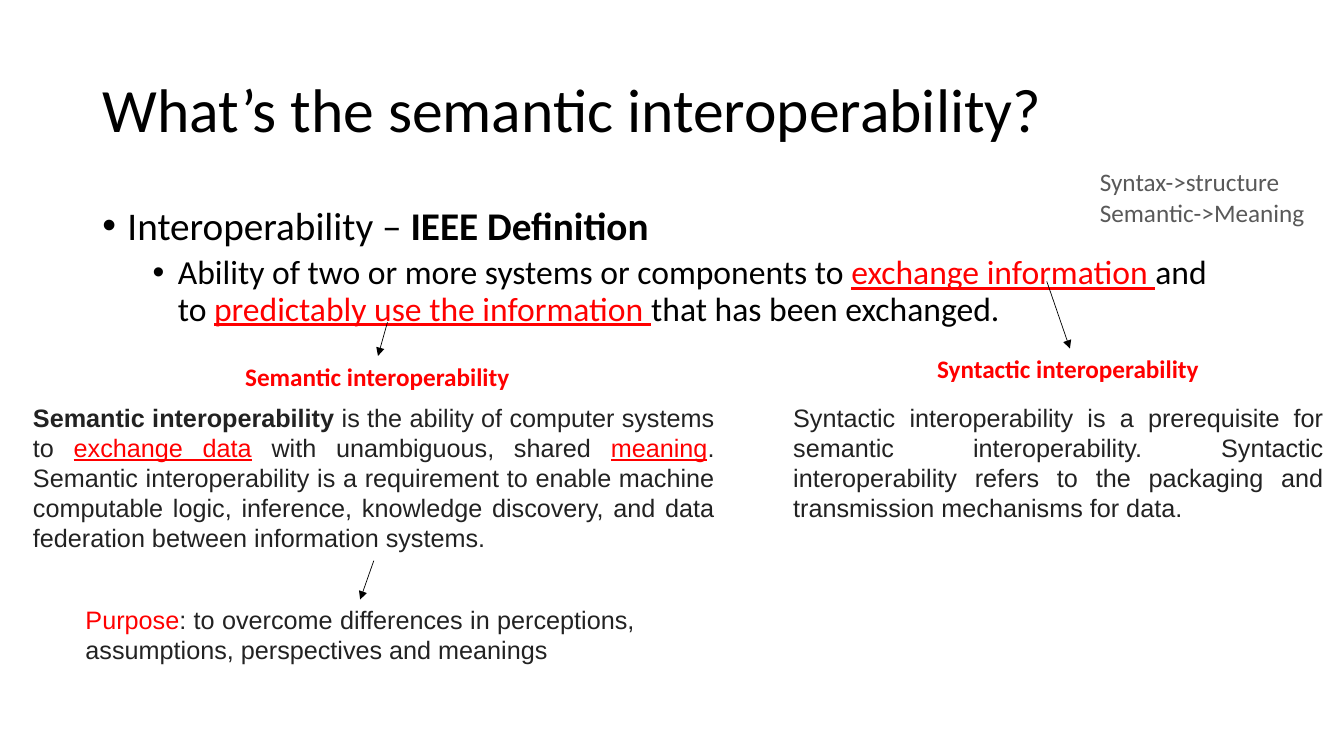
from dataclasses import dataclass

from lxml.etree import SubElement
from pptx import Presentation
from pptx.dml.color import RGBColor
from pptx.enum.shapes import MSO_CONNECTOR
from pptx.enum.text import MSO_ANCHOR, MSO_AUTO_SIZE, PP_ALIGN
from pptx.oxml.ns import qn
from pptx.slide import Slide
from pptx.util import Emu, Pt

PX = 9525  # 96 px to the inch
BLACK, RED, DARK, GREY = "000000", "FF0000", "222222", "595959"
KEY = {"color": RED, "underline": True}
BOLD = {"bold": True}


@dataclass
class Run:
    text: str
    fmt: dict | None = None


@dataclass
class Para:
    runs: list[Run]
    size: int = 18
    align: PP_ALIGN = PP_ALIGN.LEFT
    line_spacing: float = 1.0
    space_before: int = 0
    bullet_indent: int = 0


@dataclass
class Box:
    left: int
    top: int
    width: int
    height: int
    paras: list[Para]
    font: str = "Calibri"
    color: str = BLACK
    wrap: bool = True
    grow: bool = True
    anchor: MSO_ANCHOR = MSO_ANCHOR.TOP


@dataclass
class Arrow:
    x1: int
    y1: int
    x2: int
    y2: int


def px(n: int) -> Emu:
    return Emu(n * PX)


def rgb(color: str) -> RGBColor:
    return RGBColor.from_string(color)


def justified(*runs: Run) -> Para:
    return Para(list(runs), align=PP_ALIGN.JUSTIFY)


def heading(left: int, top: int, text: str) -> Box:
    return Box(left, top, 272, 38, [Para([Run(text, BOLD)])], color=RED, wrap=False)


BOXES = [
    Box(88, 38, 1104, 139,
        [Para([Run("What’s the semantic interoperability?")], 44, line_spacing=0.9)],
        grow=False, anchor=MSO_ANCHOR.MIDDLE),
    Box(88, 192, 1104, 457, [
        Para([Run("Interoperability – "), Run("IEEE Definition", BOLD)],
             28, line_spacing=0.9, bullet_indent=24),
        Para([Run("Ability of two or more systems or components to "),
              Run("exchange information ", KEY),
              Run("and to "),
              Run("predictably use the information ", KEY),
              Run("that has been exchanged.")],
             24, line_spacing=0.9, space_before=5, bullet_indent=72),
    ], grow=False),
    heading(883, 332, "Syntactic interoperability"),
    heading(224, 339, "Semantic interoperability"),
    Box(746, 378, 524, 126, [justified(
        Run("Syntactic interoperability is a prerequisite for semantic interoperability. "
            "Syntactic interoperability refers to the packaging and transmission "
            "mechanisms for data."))], "Arial", DARK),
    Box(1038, 154, 217, 68, [justified(Run("Syntax->structure")),
                             justified(Run("Semantic->Meaning"))],
        color=GREY, wrap=False),
    Box(22, 378, 668, 156, [justified(
        Run("Semantic interoperability", BOLD),
        Run(" is the ability of computer systems to "),
        Run("exchange data", KEY),
        Run(" with unambiguous, shared "),
        Run("meaning", KEY),
        Run(". Semantic interoperability is a requirement to enable machine computable "
            "logic, inference, knowledge discovery, and data federation between "
            "information systems."))], "Arial", DARK),
    Box(72, 571, 542, 68, [justified(
        Run("Purpose", {"color": RED}),
        Run(": to overcome differences in perceptions, assumptions, perspectives "
            "and meanings"))], "Arial", DARK),
]

ARROWS = [
    Arrow(997, 268, 1019, 332),
    Arrow(369, 307, 360, 339),
    Arrow(356, 534, 343, 571),
]


def add_bullet(p, indent: int) -> None:
    pPr = p._p.get_or_add_pPr()
    pPr.set("marL", str(px(indent)))
    pPr.set("indent", str(px(-24)))
    SubElement(pPr, qn("a:buFont"), typeface="Arial")
    SubElement(pPr, qn("a:buChar"), char="•")


def add_para(p, para: Para, font: str, color: str) -> None:
    p.alignment = para.align
    p.line_spacing = para.line_spacing
    if para.space_before:
        p.space_before = Pt(para.space_before)
    if para.bullet_indent:
        add_bullet(p, para.bullet_indent)
    for run in para.runs:
        r = p.add_run()
        r.text = run.text
        fmt = {"name": font, "size": Pt(para.size), "color": color} | (run.fmt or {})
        r.font.color.rgb = rgb(fmt.pop("color"))
        for name, value in fmt.items():
            setattr(r.font, name, value)


def add_box(s: Slide, box: Box) -> None:
    sp = s.shapes.add_textbox(px(box.left), px(box.top), px(box.width), px(box.height))
    tf = sp.text_frame
    tf.word_wrap = box.wrap
    tf.auto_size = MSO_AUTO_SIZE.SHAPE_TO_FIT_TEXT if box.grow else MSO_AUTO_SIZE.NONE
    tf.vertical_anchor = box.anchor
    for i, para in enumerate(box.paras):
        p = tf.add_paragraph() if i else tf.paragraphs[0]
        add_para(p, para, box.font, box.color)


def add_arrow(s: Slide, arrow: Arrow) -> None:
    cxn = s.shapes.add_connector(MSO_CONNECTOR.STRAIGHT, px(arrow.x1), px(arrow.y1),
                                 px(arrow.x2), px(arrow.y2))
    cxn.line.color.rgb = rgb(BLACK)
    cxn.line.width = Pt(0.5)
    SubElement(cxn.line._get_or_add_ln(), qn("a:tailEnd"), type="triangle")
    SubElement(cxn._element.spPr, qn("a:effectLst"))


def main() -> None:
    prs = Presentation()
    prs.slide_width, prs.slide_height = px(1280), px(720)
    s = prs.slides.add_slide(prs.slide_layouts[6])
    for box in BOXES:
        add_box(s, box)
    for arrow in ARROWS:
        add_arrow(s, arrow)
    prs.save("out.pptx")


if __name__ == "__main__":
    main()
